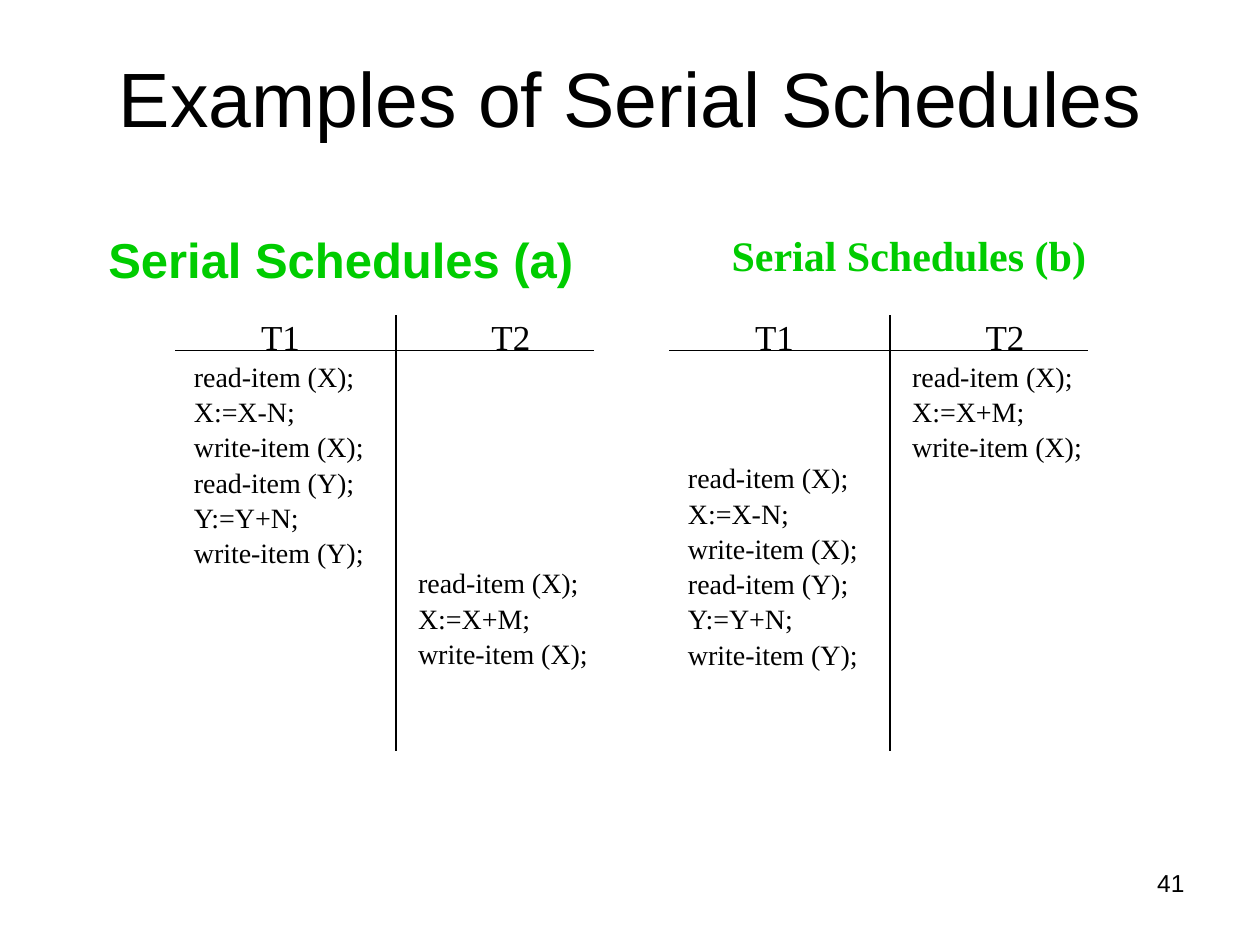
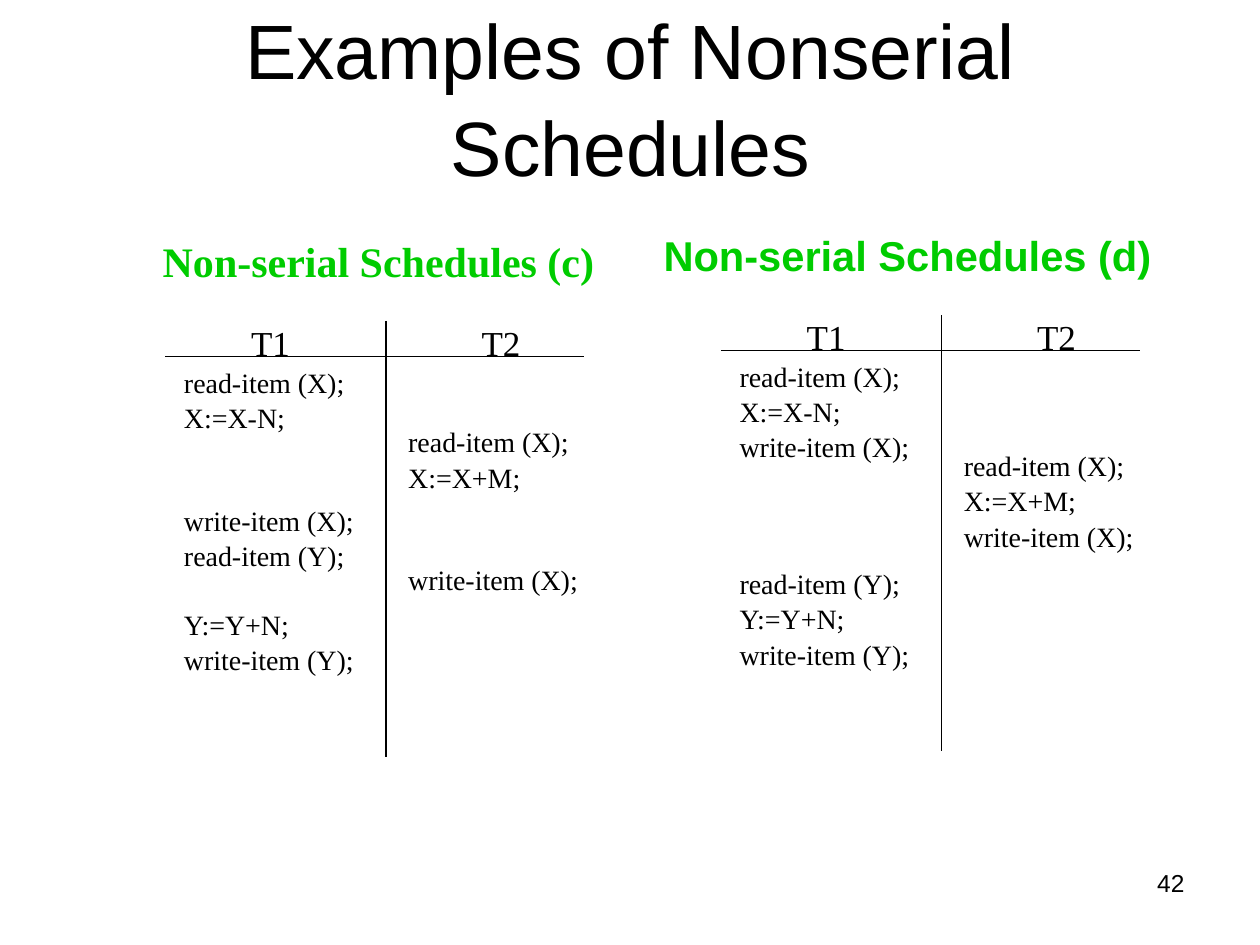
import pptx
import pptx.util
import pptx.dml.color
import pptx.enum.shapes
import pptx.enum.text
import pptx.oxml.ns
import lxml.etree

Cm = pptx.util.Cm
Align = pptx.enum.text.PP_ALIGN
COLORS = {"text": "000000", "heading": "00CC00"}
SANS, SERIF = "Arial", "Times New Roman"
LINE_SPACING = 1.05

SLIDES = [
    {
        "title": "Examples of Serial Schedules",
        "number": "41",
        "schedules": [
            {
                "heading": "Serial Schedules (a)", "font": SANS, "size": 28,
                "heading_box": (1.27, 4.45, 11.2, 1.5), "left": 3.53, "top": 6.2,
                "T1": [(0, "read-item (X);"), (0, "X:=X-N;"), (0, "write-item (X);"),
                       (0, "read-item (Y);"), (0, "Y:=Y+N;"), (0, "write-item (Y);")],
                "T2": [(118, "read-item (X);"), (0, "X:=X+M;"), (0, "write-item (X);")],
            },
            {
                "heading": "Serial Schedules (b)", "font": SERIF, "size": 24,
                "heading_box": (13.03, 4.45, 10.59, 1.45), "left": 13.49, "top": 6.2,
                "T1": [(58, "read-item (X);"), (0, "X:=X-N;"), (0, "write-item (X);"),
                       (0, "read-item (Y);"), (0, "Y:=Y+N;"), (0, "write-item (Y);")],
                "T2": [(0, "read-item (X);"), (0, "X:=X+M;"), (0, "write-item (X);")],
            },
        ],
    },
    {
        "title": "Examples of Nonserial Schedules",
        "number": "42",
        "schedules": [
            {
                "heading": "Non-serial Schedules (d)", "font": SANS, "size": 23.8,
                "heading_box": (12.88, 4.45, 10.82, 1.4), "left": 14.53, "top": 6.2,
                "T1": [(0, "read-item (X);"), (0, "X:=X-N;"), (0, "write-item (X);"),
                       (58, "read-item (Y);"), (0, "Y:=Y+N;"), (0, "write-item (Y);")],
                "T2": [(51, "read-item (X);"), (0, "X:=X+M;"), (0, "write-item (X);")],
            },
            {
                "heading": "Non-serial Schedules (c)", "font": SERIF, "size": 24,
                "heading_box": (2.51, 4.57, 10.24, 1.35), "left": 3.33, "top": 6.32,
                "T1": [(0, "read-item (X);"), (0, "X:=X-N;"), (38.5, "write-item (X);"),
                       (0, "read-item (Y);"), (19.3, "Y:=Y+N;"), (0, "write-item (Y);")],
                "T2": [(34, "read-item (X);"), (0, "X:=X+M;"), (38.5, "write-item (X);")],
            },
        ],
    },
]


def place(box, left, top, width, height):
    box.left, box.top, box.width, box.height = Cm(left), Cm(top), Cm(width), Cm(height)
    box.text_frame.word_wrap = True
    box.text_frame.auto_size = pptx.enum.text.MSO_AUTO_SIZE.NONE


def write(para, text, font, size, align=Align.LEFT, color="text", bold=False, gap=0):
    para.text = text
    para.alignment = align
    para.line_spacing = LINE_SPACING
    para.space_before = pptx.util.Pt(gap)
    para.font.name = font
    para.font.size = pptx.util.Pt(size)
    para.font.bold = bold
    para.font.color.rgb = pptx.dml.color.RGBColor.from_string(COLORS[color])


deck = pptx.Presentation()
deck.slide_width, deck.slide_height = Cm(25.4), Cm(19.05)

for content in SLIDES:
    page = deck.slides.add_slide(deck.slide_layouts[1])
    title, body = page.placeholders
    place(title, 1.27, 0.64, 22.89, 2.54)
    title.text_frame.vertical_anchor = pptx.enum.text.MSO_ANCHOR.MIDDLE
    write(title.text_frame.paragraphs[0], content["title"], SANS, 44, Align.CENTER)

    number = page.shapes.add_textbox(0, 0, 0, 0)
    place(number, 18.21, 17.35, 5.92, 1.32)
    write(number.text_frame.paragraphs[0], content["number"], SANS, 14, Align.RIGHT)

    for index, schedule in enumerate(content["schedules"]):
        group = page.shapes.add_group_shape()
        heading = body if index == 0 else group.shapes.add_textbox(0, 0, 0, 0)
        place(heading, *schedule["heading_box"])
        para = heading.text_frame.paragraphs[0]
        write(para, schedule["heading"], schedule["font"], schedule["size"],
              Align.CENTER, "heading", True)
        if heading is body:
            properties = para._p.get_or_add_pPr()
            properties.set("marL", "0")
            properties.set("indent", "0")
            bullet = lxml.etree.Element(pptx.oxml.ns.qn("a:buNone"))
            properties.find(pptx.oxml.ns.qn("a:defRPr")).addprevious(bullet)

        left, top = schedule["left"], schedule["top"]
        for name, offset, width in (("T1", 0.13, 3.99), ("T2", 4.65, 4.24)):
            column = group.shapes.add_textbox(0, 0, 0, 0)
            place(column, left + offset, top, width, 8.64)
            frame = column.text_frame
            write(frame.paragraphs[0], name, SERIF, 20, Align.CENTER)
            for gap, step in schedule[name]:
                write(frame.add_paragraph(), step, SERIF, 16, gap=gap)

        for ends in ((0, 0.86, 8.45, 0.86), (4.45, 0.15, 4.45, 8.95)):
            begin_x, begin_y, end_x, end_y = ends
            rule = group.shapes.add_connector(
                pptx.enum.shapes.MSO_CONNECTOR.STRAIGHT,
                Cm(left + begin_x), Cm(top + begin_y), Cm(left + end_x), Cm(top + end_y))
            rule.line.width = pptx.util.Pt(0.75)
            rule.line.color.rgb = pptx.dml.color.RGBColor.from_string(COLORS["text"])
            lxml.etree.SubElement(rule._element.spPr, pptx.oxml.ns.qn("a:effectLst"))

deck.save("out.pptx")
